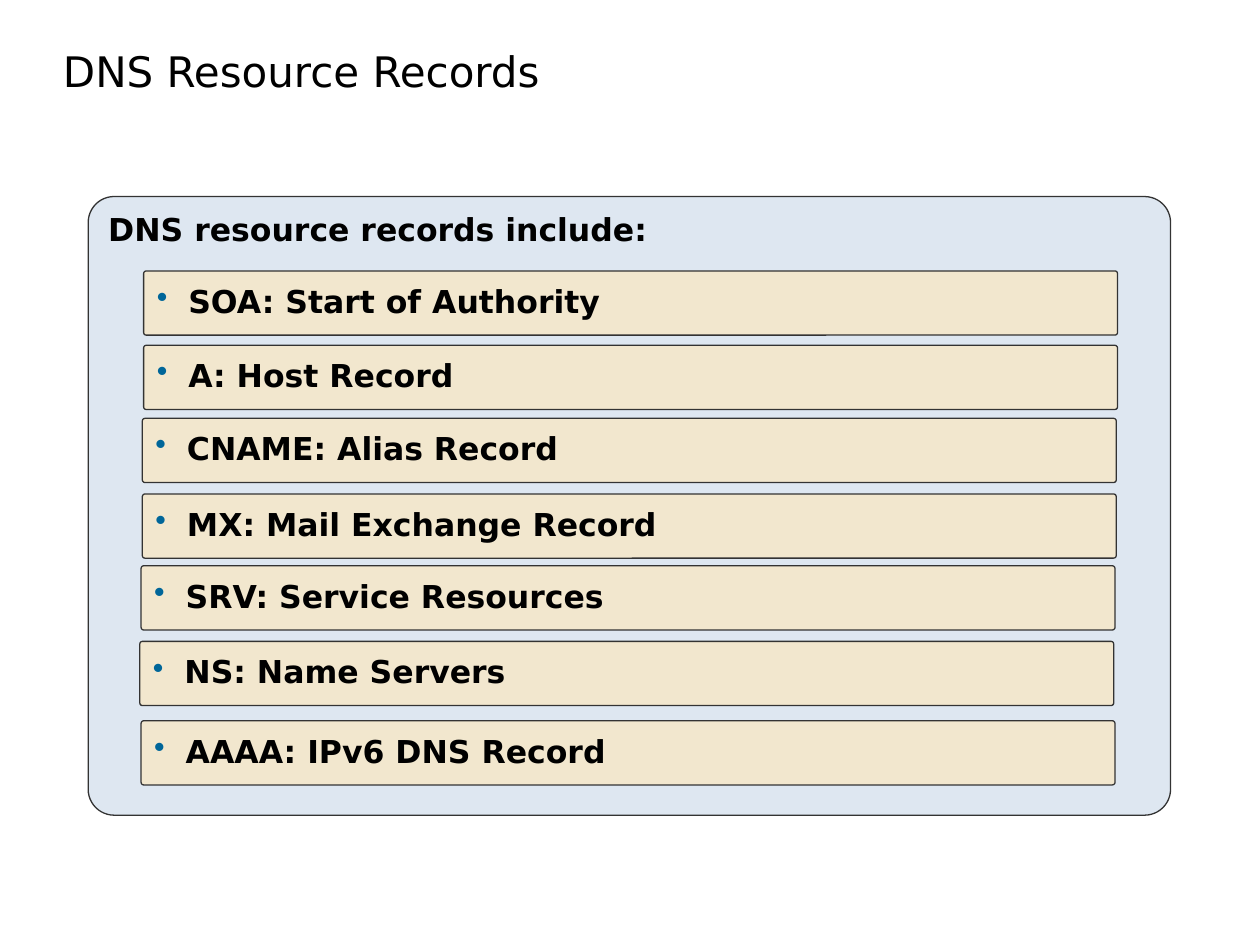
from lxml import etree
from pptx import Presentation
from pptx.dml.color import RGBColor
from pptx.enum.shapes import MSO_SHAPE
from pptx.enum.text import MSO_ANCHOR, PP_ALIGN
from pptx.oxml.ns import qn
from pptx.util import Inches, Pt

ROUNDED = MSO_SHAPE.ROUNDED_RECTANGLE
TOP, MIDDLE, BOTTOM = MSO_ANCHOR.TOP, MSO_ANCHOR.MIDDLE, MSO_ANCHOR.BOTTOM
LEFT = PP_ALIGN.LEFT
FONT = "DejaVu Sans"
COLORS = {
    "text": "000000",
    "panel": "DEE7F1",
    "record": "F2E7CE",
    "outline": "333333",
    "bullet": "006699",
}
RECORDS = [
    ("SOA: Start of Authority", 0.44, 0.59),
    ("A: Host Record", 0.44, 1.18),
    ("CNAME: Alias Record", 0.43, 1.76),
    ("MX: Mail Exchange Record", 0.43, 2.36),
    ("SRV: Service Resources", 0.42, 2.93),
    ("NS: Name Servers", 0.41, 3.53),
    ("AAAA: IPv6 DNS Record", 0.42, 4.16),
]


def write_text(shape, text, size, bold, anchor):
    """Put one left-aligned line into a shape and return its paragraph."""
    text_frame = shape.text_frame
    text_frame.text = text
    text_frame.word_wrap = True
    text_frame.vertical_anchor = anchor
    paragraph = text_frame.paragraphs[0]
    paragraph.alignment = LEFT
    font = paragraph.runs[0].font
    font.name = FONT
    font.size = Pt(size)
    font.bold = bold
    font.color.rgb = RGBColor.from_string(COLORS["text"])
    return paragraph


def add_bullet(paragraph):
    """Give a paragraph a hanging coloured bullet."""
    properties = paragraph._p.get_or_add_pPr()
    properties.set("marL", str(Inches(0.25)))
    properties.set("indent", str(-Inches(0.25)))
    color = etree.SubElement(properties, qn("a:buClr"))
    etree.SubElement(color, qn("a:srgbClr"), val=COLORS["bullet"])
    etree.SubElement(properties, qn("a:buChar"), char="•")


def add_rounded_box(slide, left, top, width, height, fill):
    """Draw an outlined box with slightly rounded corners."""
    shape = slide.shapes.add_shape(
        ROUNDED, Inches(left), Inches(top), Inches(width), Inches(height)
    )
    shape.adjustments[0] = 0.042
    shape.shadow.inherit = False
    shape.fill.solid()
    shape.fill.fore_color.rgb = RGBColor.from_string(COLORS[fill])
    shape.line.color.rgb = RGBColor.from_string(COLORS["outline"])
    shape.line.width = Pt(0.75)
    return shape


def add_title(slide, left, top, width, height):
    """Write the slide title at the bottom of its box."""
    title = slide.shapes.add_textbox(
        Inches(left), Inches(top), Inches(width), Inches(height)
    )
    paragraph = write_text(title, "DNS Resource Records", 24, False, BOTTOM)
    paragraph.line_spacing = 0.85
    title.text_frame.margin_left = 0


def add_records_panel(slide, left, top, width, height):
    """Draw the panel with its heading and one bar per record type."""
    panel = add_rounded_box(slide, left, top, width, height, "panel")
    write_text(panel, "DNS resource records include:", 18, True, TOP)
    for text, offset_x, offset_y in RECORDS:
        record = add_rounded_box(
            slide, left + offset_x, top + offset_y, width - 0.86, 0.51, "record"
        )
        paragraph = write_text(record, text, 18, True, MIDDLE)
        paragraph.line_spacing = 0.9
        add_bullet(paragraph)


def main():
    """Build and save the presentation."""
    presentation = Presentation()
    presentation.slide_width = Inches(10)
    presentation.slide_height = Inches(7.5)
    slide = presentation.slides.add_slide(presentation.slide_layouts[6])
    add_records_panel(slide, 0.7, 1.56, 8.59, 4.91)
    add_title(slide, 0.5, 0, 8.5, 0.81)
    presentation.save("out.pptx")


if __name__ == "__main__":
    main()
